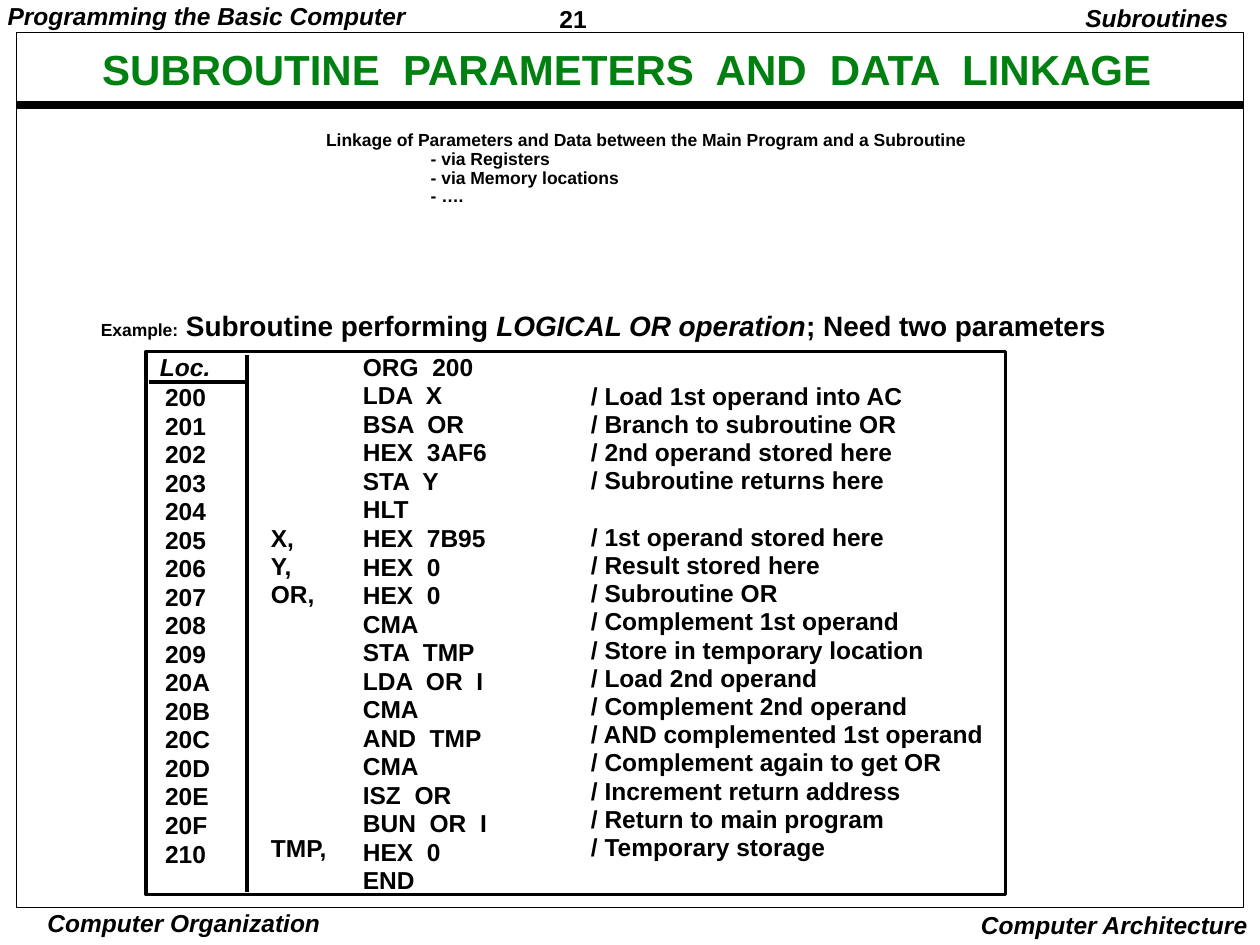
"""Build the slide on subroutine parameters and data linkage."""
from dataclasses import dataclass

from lxml.etree import SubElement
from pptx import Presentation
from pptx.dml.color import RGBColor
from pptx.enum.shapes import MSO_CONNECTOR, MSO_SHAPE
from pptx.enum.text import MSO_ANCHOR, MSO_AUTO_SIZE, PP_ALIGN
from pptx.oxml.ns import qn
from pptx.util import Inches, Pt

BLACK = "000000"
GREEN = "008011"
TIGHT = (0.07, 0.03)
ROOMY = (0.1, 0.05)
CODE_SIZE = 14


@dataclass
class Span:
    text: str
    size: float = 14
    italic: bool = False
    color: str = BLACK


@dataclass
class Instruction:
    location: str
    label: str
    code: str
    comment: str


@dataclass
class Column:
    field: str
    left: float
    top: float
    width: float
    spacing: float


PROGRAM = [
    Instruction("", "", "ORG  200", ""),
    Instruction("200", "", "LDA  X", "/ Load 1st operand into AC"),
    Instruction("201", "", "BSA  OR", "/ Branch to subroutine OR"),
    Instruction("202", "", "HEX  3AF6", "/ 2nd operand stored here"),
    Instruction("203", "", "STA  Y", "/ Subroutine returns here"),
    Instruction("204", "", "HLT", ""),
    Instruction("205", "X,", "HEX  7B95", "/ 1st operand stored here"),
    Instruction("206", "Y,", "HEX  0", "/ Result stored here"),
    Instruction("207", "OR,", "HEX  0", "/ Subroutine OR"),
    Instruction("208", "", "CMA", "/ Complement 1st operand"),
    Instruction("209", "", "STA  TMP", "/ Store in temporary location"),
    Instruction("20A", "", "LDA  OR  I", "/ Load 2nd operand"),
    Instruction("20B", "", "CMA", "/ Complement 2nd operand"),
    Instruction("20C", "", "AND  TMP", "/ AND complemented 1st operand"),
    Instruction("20D", "", "CMA", "/ Complement again to get OR"),
    Instruction("20E", "", "ISZ  OR", "/ Increment return address"),
    Instruction("20F", "", "BUN  OR  I", "/ Return to main program"),
    Instruction("210", "TMP,", "HEX  0", "/ Temporary storage"),
    Instruction("", "", "END", ""),
]

COLUMNS = [
    Column("code", 2.81, 2.77, 1.2, 0.97),
    Column("comment", 4.62, 3.0, 3.34, 0.96),
    Column("label", 2.08, 4.13, 0.68, 0.96),
    Column("location", 1.24, 3.01, 0.58, 0.97),
]


def rgb(value: str) -> RGBColor:
    return RGBColor.from_string(value)


def line_pitch(size: float, spacing: float) -> float:
    return round(1.2 * size * spacing, 2)


def fill_frame(frame, lines: list[list[Span]], *, align=PP_ALIGN.LEFT,
               spacing: float | None = None, inset=TIGHT, wrap=False,
               anchor=MSO_ANCHOR.TOP) -> None:
    frame.word_wrap = wrap
    frame.auto_size = MSO_AUTO_SIZE.NONE
    frame.vertical_anchor = anchor
    frame.margin_left = frame.margin_right = Inches(inset[0])
    frame.margin_top = frame.margin_bottom = Inches(inset[1])
    for index, spans in enumerate(lines):
        para = frame.paragraphs[0] if index == 0 else frame.add_paragraph()
        para.alignment = align
        if spacing:
            para.line_spacing = Pt(line_pitch(max(span.size for span in spans), spacing))
        for span in spans:
            run = para.add_run()
            run.text = span.text
            run.font.name = "Arial"
            run.font.size = Pt(span.size)
            run.font.bold = True
            run.font.italic = span.italic
            run.font.color.rgb = rgb(span.color)


def add_text(page, text: str | list[list[Span]], left: float, top: float,
             width: float, height: float, *, italic=False, **options):
    box = page.shapes.add_textbox(Inches(left), Inches(top), Inches(width), Inches(height))
    lines = [[Span(text, italic=italic)]] if isinstance(text, str) else text
    fill_frame(box.text_frame, lines, **options)
    return box


def add_line(page, start: tuple[float, float], end: tuple[float, float],
             weight: float) -> None:
    line = page.shapes.add_connector(
        MSO_CONNECTOR.STRAIGHT, *(Inches(value) for value in (*start, *end)))
    line.line.color.rgb = rgb(BLACK)
    line.line.width = Pt(weight)
    SubElement(line._element.spPr, qn("a:effectLst"))


def add_frame(page, left: float, top: float, width: float, height: float,
              weight: float) -> None:
    frame = page.shapes.add_shape(
        MSO_SHAPE.RECTANGLE, Inches(left), Inches(top), Inches(width), Inches(height))
    frame.shadow.inherit = False
    frame.fill.background()
    frame.line.color.rgb = rgb(BLACK)
    frame.line.width = Pt(weight)


def add_column(page, column: Column) -> None:
    entries = [(row, getattr(item, column.field)) for row, item in enumerate(PROGRAM)]
    entries = [(row, text) for row, text in entries if text]
    pitch = line_pitch(CODE_SIZE, column.spacing)
    row_count = entries[-1][0] - entries[0][0] + 1
    box = add_text(page, [[Span(text, CODE_SIZE)] for _, text in entries],
                   column.left, column.top, column.width,
                   round(row_count * pitch / 72 + 2 * TIGHT[1], 2),
                   spacing=column.spacing, wrap=True)
    paragraphs = box.text_frame.paragraphs
    for para, (previous, _), (row, _) in zip(paragraphs[1:], entries, entries[1:]):
        if row - previous > 1:
            para.space_before = Pt((row - previous - 1) * pitch)


def add_page_furniture(page) -> None:
    add_text(page, "21", 4.37, 0, 1.08, 0.29, spacing=1.01, wrap=True)
    add_text(page, "Computer Organization", 0.25, 7.2, 2.42, 0.26, italic=True,
             align=PP_ALIGN.CENTER, inset=(0.03, 0.01), wrap=True)
    add_text(page, "Computer Architecture", 7.58, 7.17, 2.42, 0.33, italic=True,
             align=PP_ALIGN.RIGHT, inset=ROOMY, wrap=True)
    add_text(page, "Subroutines", 8.41, 0, 1.44, 0.31, italic=True,
             align=PP_ALIGN.RIGHT, spacing=0.9, inset=ROOMY, wrap=True)
    add_text(page, "Programming the Basic Computer", -0.01, 0, 3.5, 0.27,
             italic=True, spacing=0.9, wrap=True)
    add_line(page, (0.13, 0.83), (9.87, 0.83), 4.5)
    add_frame(page, 0.13, 0.26, 9.74, 6.94, 0.5)


def add_title(page) -> None:
    title = page.shapes.title
    title.left, title.top = Inches(0.45), Inches(0.37)
    title.width, title.height = Inches(9.05), Inches(0.39)
    text = "SUBROUTINE  PARAMETERS  AND  DATA  LINKAGE"
    fill_frame(title.text_frame, [[Span(text, 24, color=GREEN)]],
               align=PP_ALIGN.CENTER, spacing=0.9, inset=ROOMY, wrap=True,
               anchor=MSO_ANCHOR.MIDDLE)


def add_linkage_notes(page) -> None:
    notes = ["Linkage of Parameters and Data between the Main Program and a Subroutine",
             "- via Registers", "- via Memory locations", "- …."]
    box = add_text(page, [[Span(note, 10)] for note in notes], 2.49, 0.99, 5.37, 0.7,
                   spacing=0.9, inset=ROOMY, wrap=True)
    for para in box.text_frame.paragraphs[1:]:
        para._p.get_or_add_pPr().set("marL", str(Inches(0.83)))


def add_program_listing(page) -> None:
    add_text(page, [[Span("Example:", 10), Span(" Subroutine performing ", 16),
                     Span("LOGICAL OR operation", 16, italic=True),
                     Span("; Need two parameters", 16)]],
             0.73, 2.43, 8.4, 0.31, spacing=0.97, wrap=True)
    for column in COLUMNS:
        add_column(page, column)
    add_text(page, "Loc.", 1.2, 2.77, 0.7, 0.28, italic=True, spacing=0.97, wrap=True)
    add_frame(page, 1.16, 2.79, 6.82, 4.31, 2)
    add_line(page, (1.96, 2.82), (1.96, 7.08), 2)
    add_line(page, (1.18, 3.03), (1.95, 3.03), 2)


def main() -> None:
    deck = Presentation()
    deck.slide_width, deck.slide_height = Inches(10), Inches(7.5)
    page = deck.slides.add_slide(deck.slide_layouts[5])
    add_page_furniture(page)
    add_title(page)
    add_linkage_notes(page)
    add_program_listing(page)
    deck.save("out.pptx")


if __name__ == "__main__":
    main()
